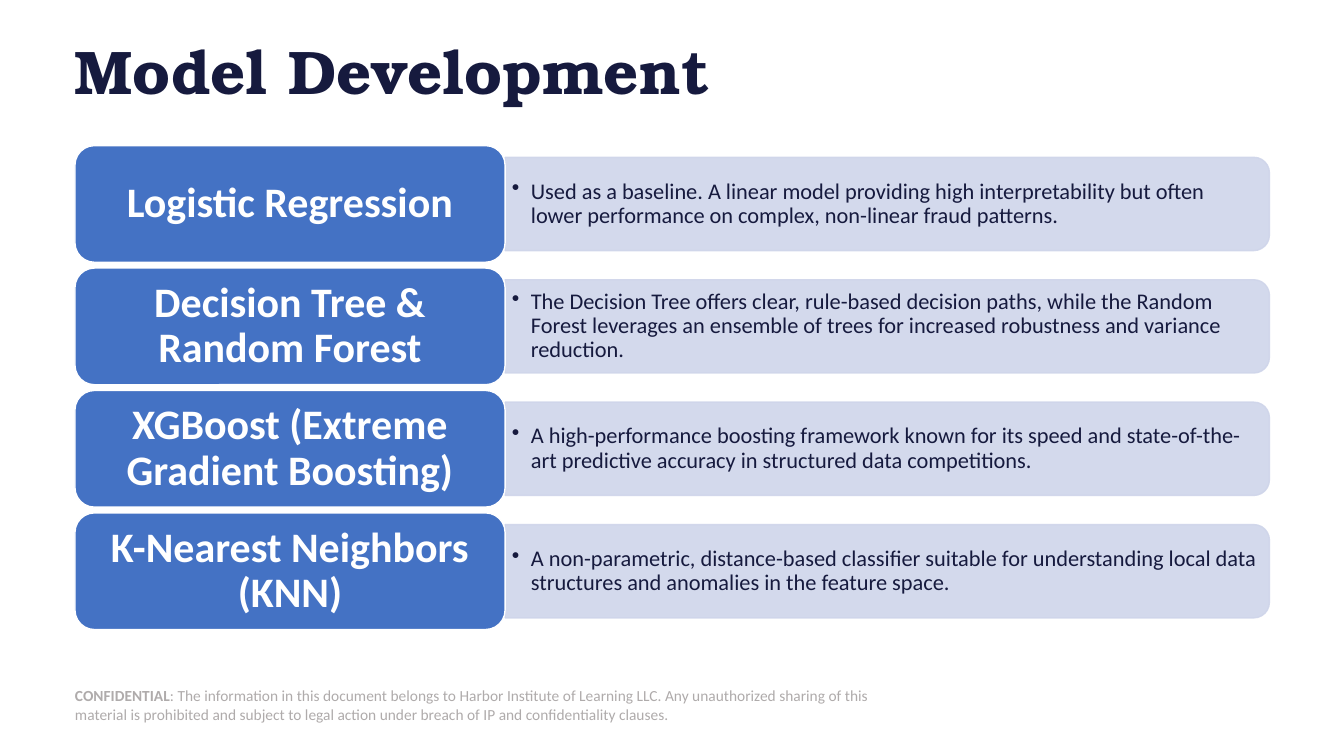
from pptx import Presentation
from pptx.dml.color import RGBColor
from pptx.enum.shapes import MSO_SHAPE
from pptx.enum.text import MSO_ANCHOR, MSO_AUTO_SIZE, PP_ALIGN
from pptx.oxml.ns import qn
from pptx.util import Cm, Pt
from lxml.etree import SubElement

# Content
TITLE = "Model Development"
MODELS = [
    ("Logistic Regression",
     "Used as a baseline. A linear model providing high interpretability but often "
     "lower performance on complex, non-linear fraud patterns."),
    ("Decision Tree & Random Forest",
     "The Decision Tree offers clear, rule-based decision paths, while the Random Forest "
     "leverages an ensemble of trees for increased robustness and variance reduction."),
    ("XGBoost (Extreme Gradient Boosting)",
     "A high-performance boosting framework known for its speed and state-of-the-art "
     "predictive accuracy in structured data competitions."),
    ("K-Nearest Neighbors (KNN)",
     "A non-parametric, distance-based classifier suitable for understanding local data "
     "structures and anomalies in the feature space."),
]
NOTICE = [
    ("CONFIDENTIAL", True),
    (": The information in this document belongs to Harbor Institute of Learning LLC. "
     "Any unauthorized sharing of this material is prohibited and subject to legal action "
     "under breach of IP and confidentiality clauses.", False),
]

# Style and layout, lengths in centimetres
NAVY, BLUE, PALE, WHITE, GRAY = "161A3E", "4472C4", "CFD5EA", "FFFFFF", "AFABAB"
LEFT, WIDTH = 1.89, 30.1
ROW_TOP, ROW_PITCH, ROW_HEIGHT = 3.67, 3.085, 2.94
LABEL_WIDTH, BAR_HEIGHT = 10.84, 2.35
BAR_LEFT, BAR_WIDTH = LEFT + LABEL_WIDTH, WIDTH - LABEL_WIDTH


def color(value):
    return RGBColor.from_string(value)


def prepare_frame(shape, side=0, top=0):
    frame = shape.text_frame
    frame.word_wrap = True
    frame.auto_size = MSO_AUTO_SIZE.NONE
    frame.vertical_anchor = MSO_ANCHOR.MIDDLE
    frame.margin_left = frame.margin_right = Cm(side)
    frame.margin_top = frame.margin_bottom = Cm(top)
    return frame.paragraphs[0]


def add_run(paragraph, text, size, shade, bold=False, font="Calibri"):
    run = paragraph.add_run()
    run.text = text
    run.font.name = font
    run.font.size = Pt(size)
    run.font.bold = bold
    run.font.color.rgb = color(shade)


def paint(shape, fill, line, alpha=None):
    shape.shadow.inherit = False
    shape.fill.solid()
    shape.fill.fore_color.rgb = color(fill)
    shape.line.color.rgb = color(line)
    shape.line.width = Pt(1)
    if alpha:
        for shade in shape._element.spPr.iter(qn("a:srgbClr")):
            SubElement(shade, qn("a:alpha")).set("val", str(alpha * 1000))


def add_bullet(paragraph, indent):
    properties = paragraph._p.get_or_add_pPr()
    properties.set("marL", str(Cm(indent)))
    properties.set("indent", str(-Cm(indent)))
    SubElement(properties, qn("a:buChar")).set("char", "•")


def add_description(slide, text, middle):
    # The bar is a quarter turn of an upright shape with two rounded top corners
    center = BAR_LEFT + BAR_WIDTH / 2
    bar = slide.shapes.add_shape(
        MSO_SHAPE.ROUND_2_SAME_RECTANGLE,
        Cm(center - BAR_HEIGHT / 2), Cm(middle - BAR_WIDTH / 2),
        Cm(BAR_HEIGHT), Cm(BAR_WIDTH))
    bar.rotation = 90
    paint(bar, PALE, PALE, alpha=90)

    box = slide.shapes.add_textbox(Cm(BAR_LEFT), Cm(middle - BAR_HEIGHT / 2),
                                   Cm(BAR_WIDTH - 0.11), Cm(BAR_HEIGHT))
    paragraph = prepare_frame(box, 0.17, 0.08)
    paragraph.line_spacing = 0.9
    add_bullet(paragraph, 0.48)
    add_run(paragraph, text, 16, NAVY)


def add_label(slide, text, top):
    label = slide.shapes.add_shape(MSO_SHAPE.ROUNDED_RECTANGLE, Cm(LEFT), Cm(top),
                                   Cm(LABEL_WIDTH), Cm(ROW_HEIGHT))
    paint(label, BLUE, WHITE)
    paragraph = prepare_frame(label, 0.3, 0.15)
    paragraph.alignment = PP_ALIGN.CENTER
    paragraph.line_spacing = 0.9
    add_run(paragraph, text, 30, WHITE, bold=True)


def main():
    presentation = Presentation()
    presentation.slide_width, presentation.slide_height = Cm(33.87), Cm(19.05)
    slide = presentation.slides.add_slide(presentation.slide_layouts[5])

    # Title
    title = slide.shapes.title
    title.left, title.top, title.width, title.height = Cm(LEFT), Cm(1.04), Cm(WIDTH), Cm(1.7)
    paragraph = prepare_frame(title)
    paragraph.alignment = PP_ALIGN.LEFT
    paragraph.line_spacing = 0.9
    add_run(paragraph, TITLE, 44, NAVY, bold=True, font="TeX Gyre Bonum")

    # Model rows
    for index, (name, description) in enumerate(MODELS):
        top = ROW_TOP + index * ROW_PITCH
        add_description(slide, description, top + ROW_HEIGHT / 2)
        add_label(slide, name, top)

    # Confidentiality notice
    notice = slide.shapes.add_textbox(Cm(LEFT), Cm(17.25), Cm(20.75), Cm(1.02))
    paragraph = prepare_frame(notice)
    for text, bold in NOTICE:
        add_run(paragraph, text, 11, GRAY, bold)

    presentation.save("out.pptx")


if __name__ == "__main__":
    main()
